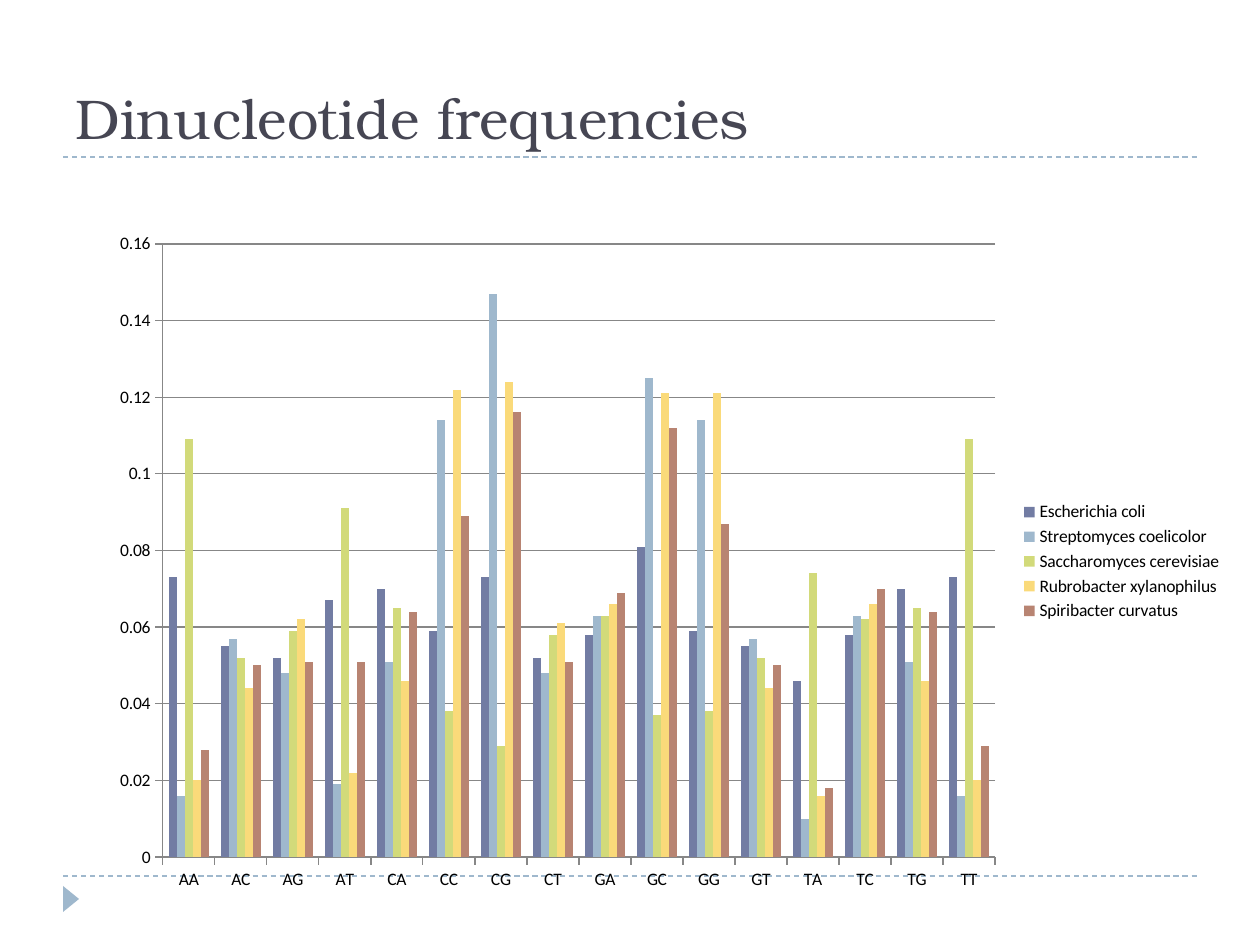
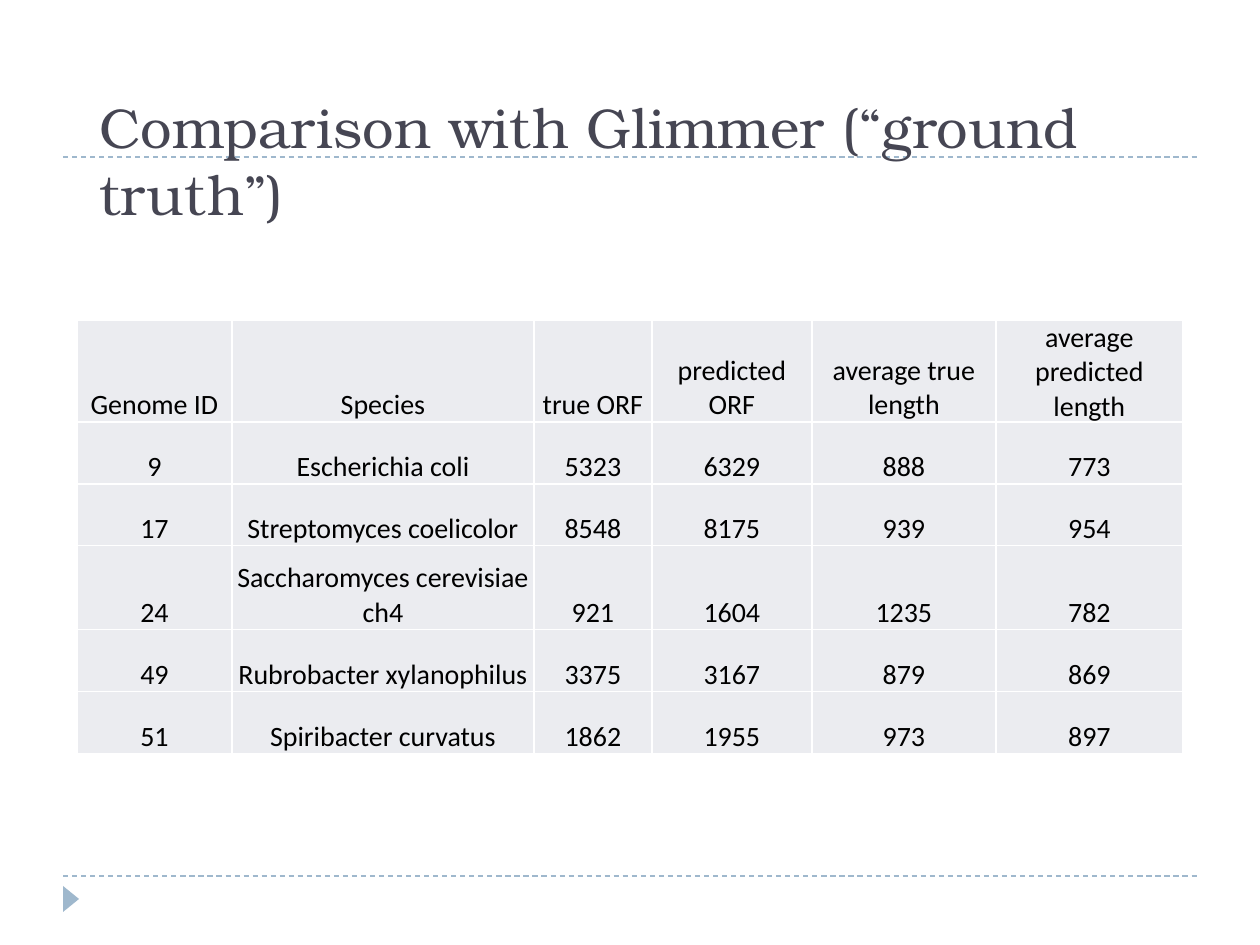
"""Build two slides on genome statistics: a dinucleotide chart and an ORF table."""
import pptx
import pptx.chart.data
import pptx.dml.color
import pptx.enum.chart
import pptx.enum.dml
import pptx.enum.shapes
import pptx.enum.text
import pptx.oxml
import pptx.oxml.ns
import pptx.util

INK, ACCENT, BLACK, WHITE = "464653", "9FB8CD", "000000", "FFFFFF"
CELL, GRID = "EBECF0", "878787"
TITLE_FONT, BODY_FONT = "TeX Gyre Bonum", "Calibri"
NAMESPACES = pptx.oxml.ns.nsdecls("a", "c")


def px(*lengths):
    return [pptx.util.Emu(round(length * 914400 / 126)) for length in lengths]


def paint(color_format, color):
    color_format.rgb = pptx.dml.color.RGBColor.from_string(color)


deck = pptx.Presentation()
deck.slide_width, deck.slide_height = px(1260, 945)

titles = [
    ("Dinucleotide frequencies", (63, 21, 1134, 136)),
    ("Comparison with Glimmer (“ground truth”)", (87, 50, 1086, 183)),
]
pages = []
for title, place in titles:
    page = deck.slides.add_slide(deck.slide_layouts[6])
    pages.append(page)
    for y in (876, 157):
        rule = page.shapes.add_connector(
            pptx.enum.shapes.MSO_CONNECTOR.STRAIGHT, *px(63, y, 1197, y))
        paint(rule.line.color, ACCENT)
        rule.line.width = pptx.util.Pt(0.75)
        rule.line.dash_style = pptx.enum.dml.MSO_LINE.DASH
        rule._element.spPr.append(pptx.oxml.parse_xml(f"<a:effectLst {NAMESPACES}/>"))

    marker = page.shapes.add_shape(
        pptx.enum.shapes.MSO_SHAPE.ISOSCELES_TRIANGLE, *px(58, 891, 26, 16))
    marker.rotation = 90
    marker.shadow.inherit = False
    marker.fill.solid()
    paint(marker.fill.fore_color, ACCENT)
    marker.line.fill.background()

    box = page.shapes.add_textbox(*px(*place))
    box.text_frame.word_wrap = True
    box.text_frame.vertical_anchor = pptx.enum.text.MSO_ANCHOR.BOTTOM
    para = box.text_frame.paragraphs[0]
    para.text = title
    para.font.name = TITLE_FONT
    para.font.size = pptx.util.Pt(32)
    paint(para.font.color, INK)

chart_page, table_page = pages

frequencies = [
    ("Escherichia coli", "727CA3",
     [0.073, 0.055, 0.052, 0.067, 0.07, 0.059, 0.073, 0.052,
      0.058, 0.081, 0.059, 0.055, 0.046, 0.058, 0.07, 0.073]),
    ("Streptomyces coelicolor", "9FB8CD",
     [0.016, 0.057, 0.048, 0.019, 0.051, 0.114, 0.147, 0.048,
      0.063, 0.125, 0.114, 0.057, 0.01, 0.063, 0.051, 0.016]),
    ("Saccharomyces cerevisiae", "D2DA7A",
     [0.109, 0.052, 0.059, 0.091, 0.065, 0.038, 0.029, 0.058,
      0.063, 0.037, 0.038, 0.052, 0.074, 0.062, 0.065, 0.109]),
    ("Rubrobacter xylanophilus", "FADA7A",
     [0.02, 0.044, 0.062, 0.022, 0.046, 0.122, 0.124, 0.061,
      0.066, 0.121, 0.121, 0.044, 0.016, 0.066, 0.046, 0.02]),
    ("Spiribacter curvatus", "B88472",
     [0.028, 0.05, 0.051, 0.051, 0.064, 0.089, 0.116, 0.051,
      0.069, 0.112, 0.087, 0.05, 0.018, 0.07, 0.064, 0.029]),
]
chart_data = pptx.chart.data.CategoryChartData()
chart_data.categories = [first + second for first in "ACGT" for second in "ACGT"]
for species, color, values in frequencies:
    chart_data.add_series(species, values)
chart = chart_page.shapes.add_chart(
    pptx.enum.chart.XL_CHART_TYPE.COLUMN_CLUSTERED, *px(98, 220, 1137, 683), chart_data).chart
chart.has_title = False
chart.font.name = BODY_FONT
chart.font.size = pptx.util.Pt(10)
paint(chart.font.color, BLACK)
chart.has_legend = True
chart.legend.position = pptx.enum.chart.XL_LEGEND_POSITION.RIGHT
chart.legend.include_in_layout = False

plot = chart.plots[0]
plot.gap_width = 150
plot.overlap = 0
plot.vary_by_categories = False
for series, (species, color, values) in zip(plot.series, frequencies):
    series.format.fill.solid()
    paint(series.format.fill.fore_color, color)

frequency_axis = chart.value_axis
frequency_axis.minimum_scale, frequency_axis.maximum_scale = 0, 0.16
frequency_axis.major_unit = 0.02
frequency_axis.has_major_gridlines = True
frequency_axis.tick_labels.number_format = "General"
frequency_axis.tick_labels.number_format_is_linked = False
for axis in (frequency_axis, chart.category_axis):
    axis.major_tick_mark = pptx.enum.chart.XL_TICK_MARK.OUTSIDE
for lines in (frequency_axis, chart.category_axis, frequency_axis.major_gridlines):
    paint(lines.format.line.color, GRID)
    lines.format.line.width = pptx.util.Pt(0.75)

plot_area = chart._chartSpace.chart.plotArea
for layout in plot_area.findall(pptx.oxml.ns.qn("c:layout")):
    plot_area.remove(layout)
plot_area.insert(0, pptx.oxml.parse_xml(
    f'<c:layout {NAMESPACES}><c:manualLayout><c:layoutTarget val="inner"/>'
    '<c:xMode val="edge"/><c:yMode val="edge"/><c:x val="0.057"/><c:y val="0.035"/>'
    '<c:w val="0.732"/><c:h val="0.898"/></c:manualLayout></c:layout>'))

orf_rows = [
    ("Genome ID", "Species", "true ORF", "predicted ORF",
     "average true length", "average predicted length"),
    ("9", "Escherichia coli", "5323", "6329", "888", "773"),
    ("17", "Streptomyces coelicolor", "8548", "8175", "939", "954"),
    ("24", "Saccharomyces cerevisiae ch4", "921", "1604", "1235", "782"),
    ("49", "Rubrobacter xylanophilus", "3375", "3167", "879", "869"),
    ("51", "Spiribacter curvatus", "1862", "1955", "973", "897"),
]
column_widths = px(155, 302, 118, 160, 184, 187)
row_heights = px(84, 62, 62, 84, 62, 62)
table = table_page.shapes.add_table(
    len(orf_rows), len(column_widths), *px(77, 320, 1106, 416)).table
for column, width in zip(table.columns, column_widths):
    column.width = width
for row, height, texts in zip(table.rows, row_heights, orf_rows):
    row.height = height
    for cell, text in zip(row.cells, texts):
        cell.fill.solid()
        paint(cell.fill.fore_color, CELL)
        cell.margin_left, cell.margin_right, cell.margin_top, cell.margin_bottom = px(1, 1, 1, 0)
        cell.vertical_anchor = pptx.enum.text.MSO_ANCHOR.BOTTOM
        para = cell.text_frame.paragraphs[0]
        para.text = text
        para.alignment = pptx.enum.text.PP_ALIGN.CENTER
        para.font.name = BODY_FONT
        para.font.size = pptx.util.Pt(16)
        para.font.bold = False
        paint(para.font.color, BLACK)
        for position, side in enumerate("LRTB"):
            cell._tc.get_or_add_tcPr().insert(position, pptx.oxml.parse_xml(
                f'<a:ln{side} {NAMESPACES} w="12700"><a:solidFill>'
                f'<a:srgbClr val="{WHITE}"/></a:solidFill></a:ln{side}>'))

deck.save("out.pptx")
